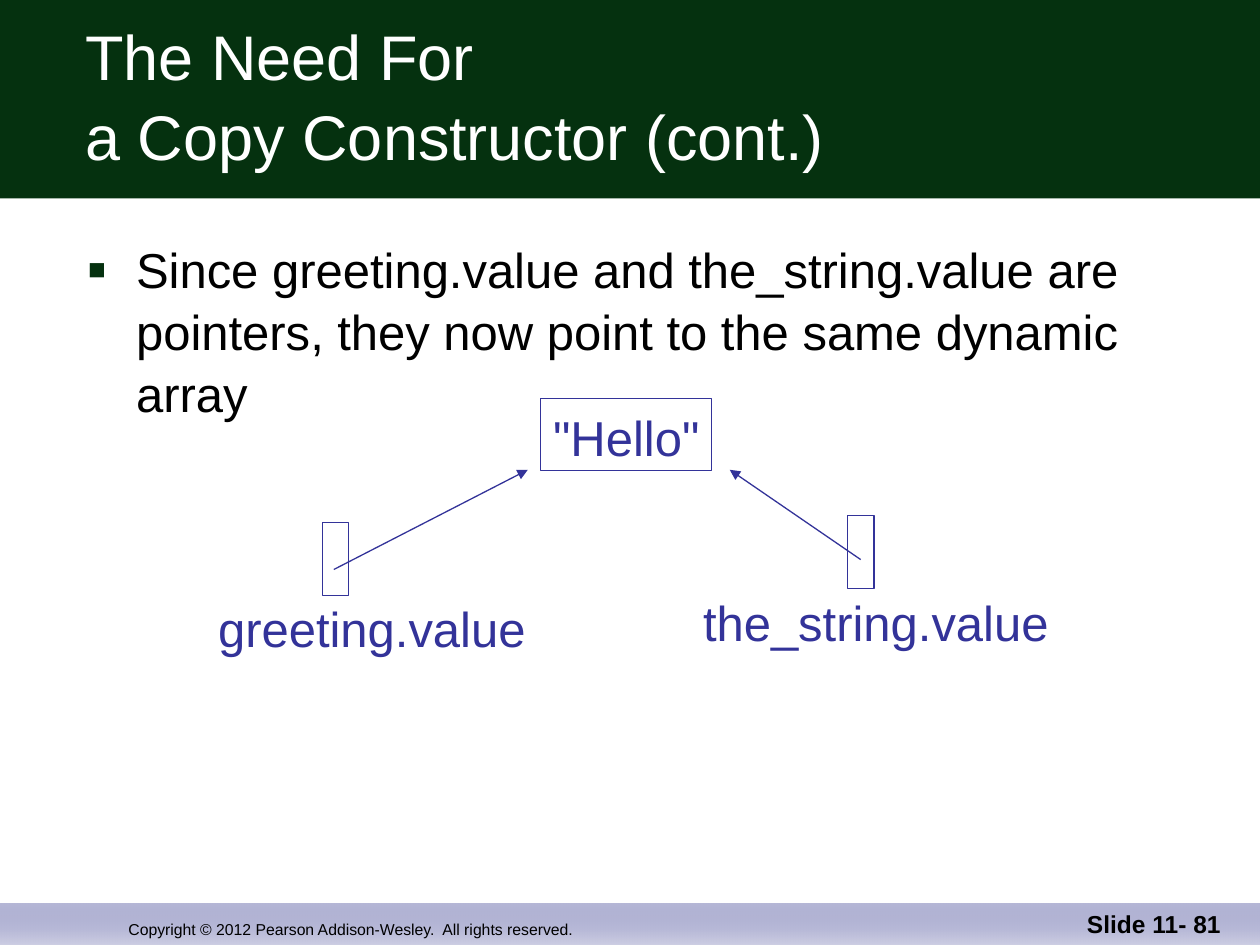
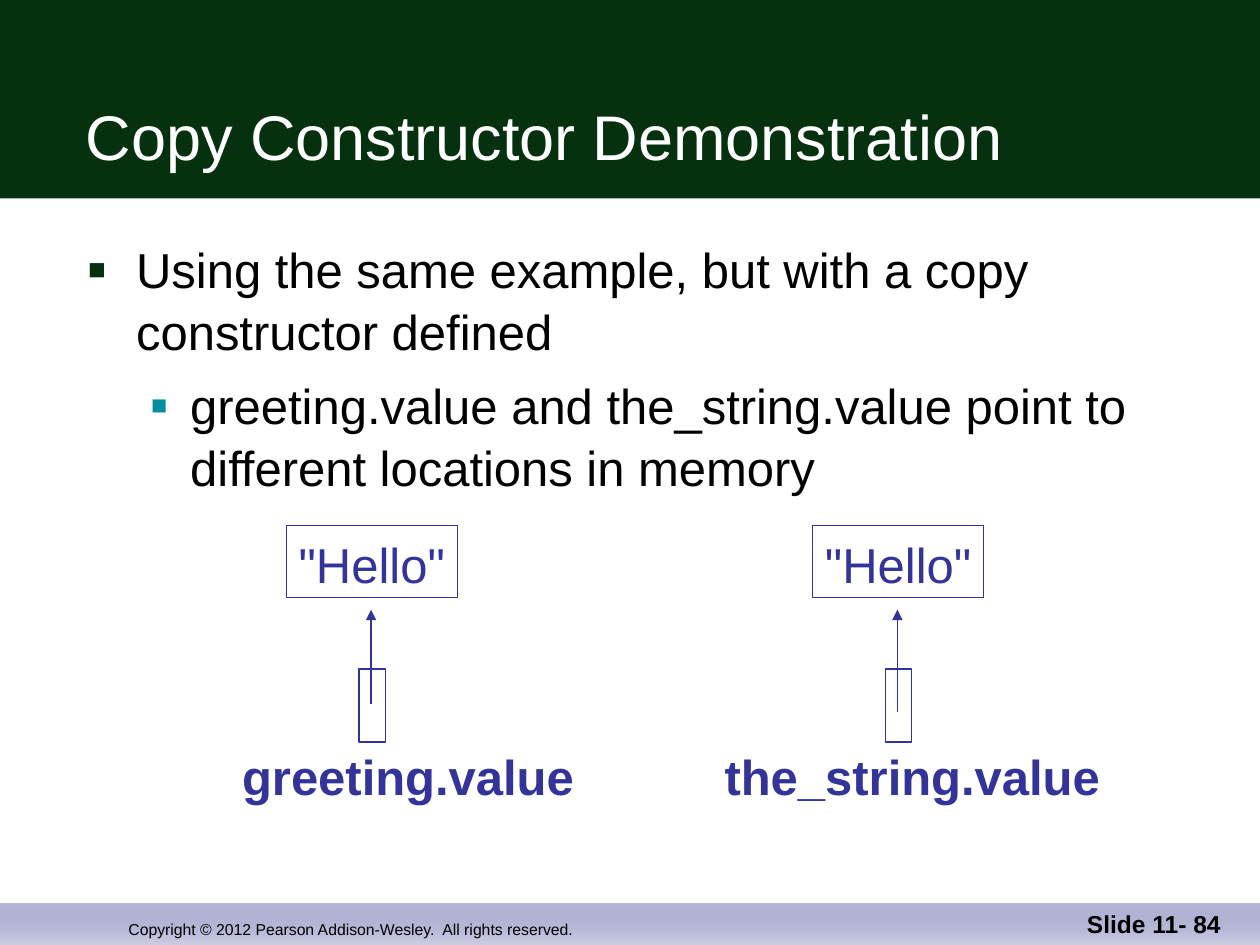
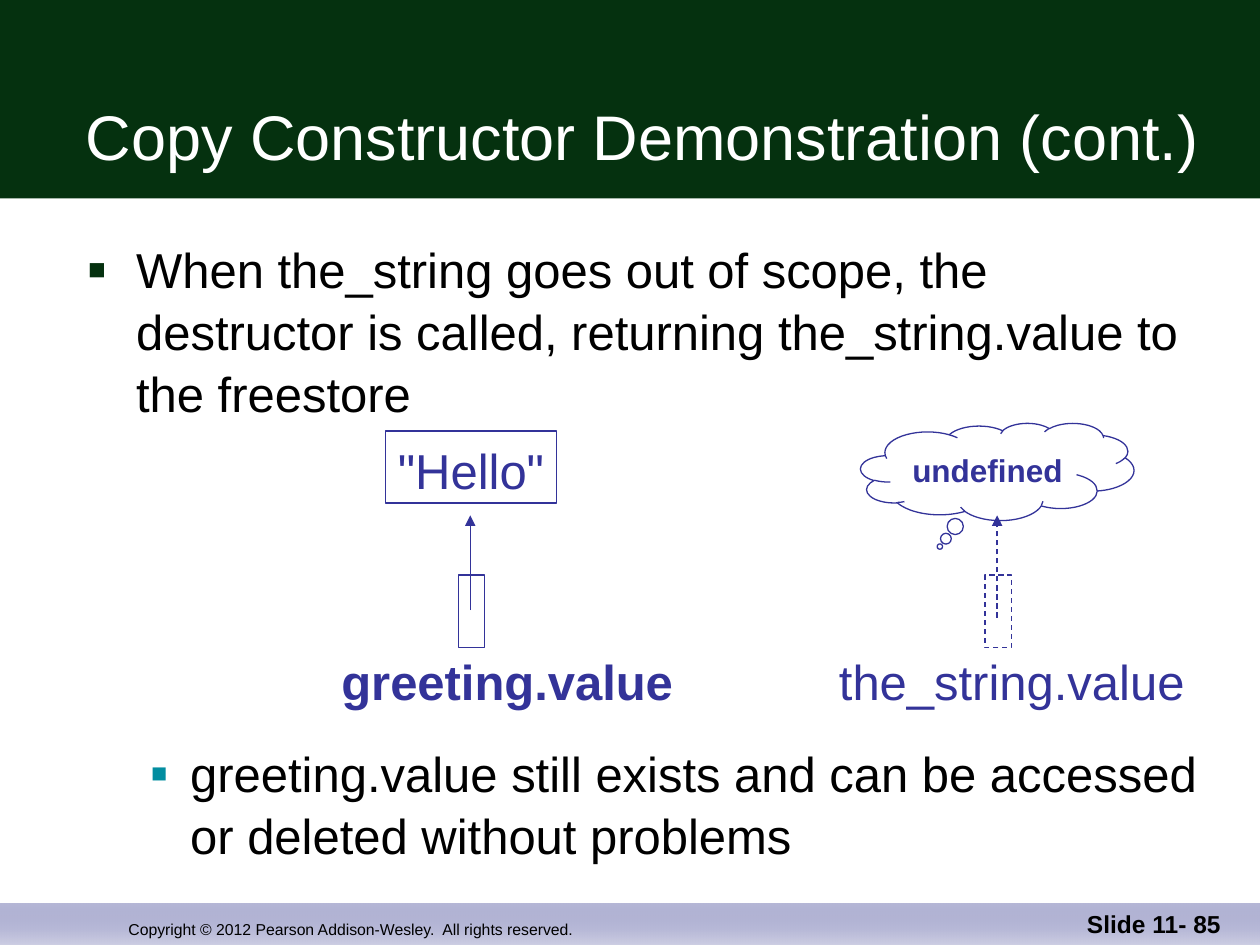
from lxml.etree import SubElement
from pptx import Presentation
from pptx.dml.color import RGBColor
from pptx.enum.dml import MSO_LINE
from pptx.enum.shapes import MSO_CONNECTOR, MSO_SHAPE
from pptx.enum.text import MSO_ANCHOR, MSO_AUTO_SIZE, PP_ALIGN
from pptx.oxml.ns import qn
from pptx.util import Cm, Pt

GREEN = RGBColor(0x05, 0x31, 0x0F)
TEAL = RGBColor(0x02, 0x8D, 0xA0)
INDIGO = RGBColor(0x33, 0x33, 0x99)
BAND_DARK = RGBColor(0x66, 0x69, 0xAA)
BAND_LIGHT = RGBColor(0xCC, 0xCD, 0xE3)
WHITE = RGBColor(0xFF, 0xFF, 0xFF)
BLACK = RGBColor(0, 0, 0)
FONT = "Arial"
WIDTH, HEIGHT = 25.4, 19.05
LINE_SPACING = 1.05
# Per list level: bullet colour, bullet size in %, left margin and hanging indent in cm
BULLETS = [(GREEN, 60, 0.97, 0.97), (TEAL, 55, 2.06, 0.79)]


def write(p, text, size, color, bold=False):
    """Add text to a paragraph, one run per line."""
    p.line_spacing = LINE_SPACING
    for i, line in enumerate(text.split("\n")):
        if i:
            p.add_line_break()
        r = p.add_run()
        r.text = line
        r.font.name = FONT
        r.font.size = Pt(size)
        r.font.bold = bold
        r.font.color.rgb = color


def place(sp, x, y, w, h):
    sp.left, sp.top, sp.width, sp.height = Cm(x), Cm(y), Cm(w), Cm(h)


def add_text(s, x, y, w, h, text, size, color, bold=False,
             align=PP_ALIGN.LEFT, anchor=MSO_ANCHOR.BOTTOM, wrap=True):
    sp = s.shapes.add_textbox(Cm(x), Cm(y), Cm(w), Cm(h))
    tf = sp.text_frame
    tf.word_wrap = wrap
    tf.vertical_anchor = anchor
    tf.paragraphs[0].alignment = align
    write(tf.paragraphs[0], text, size, color, bold)
    return sp


def add_band(s, y, h):
    sp = s.shapes.add_shape(MSO_SHAPE.RECTANGLE, 0, Cm(y), Cm(WIDTH), Cm(h))
    sp.shadow.inherit = False
    sp.line.fill.background()
    return sp


def build_frame(s, layout):
    """Give the layout the title band, footer band and copyright line."""
    footer = add_band(s, 18.21, 0.84)
    footer.fill.gradient()
    footer.fill.gradient_angle = 270
    for stop, color in zip(footer.fill.gradient_stops, (BAND_DARK, BAND_LIGHT)):
        stop.color.rgb = color
    first_color = footer.element.spPr.find(".//" + qn("a:srgbClr"))
    SubElement(first_color, qn("a:alpha"), val="47000")

    header = add_band(s, 0, 4)
    header.fill.solid()
    header.fill.fore_color.rgb = GREEN

    notice = add_text(s, 2.34, 17.78, 12.5, 1.27,
                      "Copyright © 2012 Pearson Addison-Wesley.  All rights reserved.",
                      9, BLACK)
    for i, sp in enumerate((footer, header, notice), start=20):
        sp.element.find(".//" + qn("p:cNvPr")).set("id", str(i))
        layout.shapes.element.append(sp.element)


def add_bullet(p, level):
    color, percent, margin, hang = BULLETS[level]
    p.level = level
    pPr = p._p.get_or_add_pPr()
    pPr.set("marL", str(Cm(margin)))
    pPr.set("indent", str(-Cm(hang)))
    SubElement(SubElement(pPr, qn("a:buClr")), qn("a:srgbClr"), val=str(color))
    SubElement(pPr, qn("a:buSzPct"), val=str(percent * 1000))
    SubElement(pPr, qn("a:buFont"), typeface=FONT)
    SubElement(pPr, qn("a:buChar"), char="■")


def add_slide(prs, number, title, items, item_gap=7):
    """Add a slide with its title, bulleted items (one per level) and number."""
    s = prs.slides.add_slide(prs.slide_layouts[1])
    head, body = s.placeholders
    place(head, 1.47, 0.84, 23.06, 2.77)
    tf = head.text_frame
    tf.auto_size = MSO_AUTO_SIZE.NONE
    tf.vertical_anchor = MSO_ANCHOR.BOTTOM
    tf.paragraphs[0].alignment = PP_ALIGN.LEFT
    write(tf.paragraphs[0], title, 36, WHITE)

    place(body, 1.52, 4.65, 23.04, 13)
    tf = body.text_frame
    tf.auto_size = MSO_AUTO_SIZE.NONE
    tf.margin_right = 0
    for level, text in enumerate(items):
        p = tf.add_paragraph() if level else tf.paragraphs[0]
        add_bullet(p, level)
        p.space_before = Pt(item_gap if level else 0)
        write(p, text, 28, BLACK)

    add_text(s, 19.58, 17.78, 5.28, 1.27, f"Slide 11- {number}", 14, BLACK,
             bold=True, align=PP_ALIGN.RIGHT)
    return s


def set_outline(sp, dashed=False):
    sp.line.color.rgb = INDIGO
    sp.line.width = Pt(0.75)
    if dashed:
        sp.line.dash_style = MSO_LINE.DASH


def add_outlined(s, kind, x, y, w, h, dashed=False):
    sp = s.shapes.add_shape(kind, Cm(x), Cm(y), Cm(w), Cm(h))
    sp.shadow.inherit = False
    sp.fill.background()
    set_outline(sp, dashed)
    return sp


def add_cell(s, x, y, dashed=False):
    """Add the small upright box that stands for a pointer variable."""
    add_outlined(s, MSO_SHAPE.RECTANGLE, x, y, 0.53, 1.47, dashed)


def add_label(s, x, y, w, text, bold=False):
    return add_text(s, x, y, w, 1.45, text, 28, INDIGO, bold,
                    PP_ALIGN.CENTER, MSO_ANCHOR.TOP, wrap=False)


def add_hello(s, x, y):
    set_outline(add_label(s, x, y, 3.45, '"Hello"'))


def add_cloud(s, x, y):
    sp = add_outlined(s, MSO_SHAPE.CLOUD_CALLOUT, x, y, 5.51, 1.96)
    sp.adjustments[0], sp.adjustments[1] = -0.21, 0.77
    tf = sp.text_frame
    tf.vertical_anchor = MSO_ANCHOR.MIDDLE
    tf.paragraphs[0].alignment = PP_ALIGN.CENTER
    write(tf.paragraphs[0], "undefined", 18, INDIGO, bold=True)


def add_arrow(s, x1, y1, x2, y2, dashed=False):
    c = s.shapes.add_connector(MSO_CONNECTOR.STRAIGHT, Cm(x1), Cm(y1), Cm(x2), Cm(y2))
    set_outline(c, dashed)
    spPr = c.element.spPr
    SubElement(spPr.find(qn("a:ln")), qn("a:tailEnd"), type="triangle")
    SubElement(spPr, qn("a:effectLst"))


def add_pointer(s, x, y, name, label_dx, label_w, tail_dy, bold=True, dashed=False):
    """Add a named cell with an arrow up to the value whose box is at x, y."""
    add_label(s, x + label_dx, y + 4.27, label_w, name, bold)
    add_cell(s, x + 1.47, y + 2.9, dashed)
    add_arrow(s, x + 1.71, y + tail_dy, x + 1.71, y + 1.7, dashed)


def add_greeting(s, x, y):
    add_hello(s, x, y)
    add_pointer(s, x, y, "greeting.value", -1.14, 7.19, 3.61)


def main():
    prs = Presentation()
    prs.slide_width, prs.slide_height = Cm(WIDTH), Cm(HEIGHT)

    s = add_slide(prs, 81, "The Need For\na Copy Constructor (cont.)", [
        "Since greeting.value and the_string.value are\n"
        "pointers, they now point to the same dynamic\narray"])
    build_frame(s, prs.slide_layouts[1])
    add_label(s, 4.14, 11.89, 6.71, "greeting.value")
    add_label(s, 13.92, 11.76, 7.47, "the_string.value")
    add_cell(s, 6.5, 10.54)
    add_cell(s, 17.09, 10.39)
    add_hello(s, 10.9, 8.03)
    add_arrow(s, 6.73, 11.48, 10.64, 9.47)
    add_arrow(s, 17.35, 11.28, 14.71, 9.47)

    s = add_slide(prs, 84, "Copy Constructor Demonstration", [
        "Using the same example, but with a copy\nconstructor defined",
        "greeting.value and the_string.value point to\ndifferent locations in memory"])
    add_greeting(s, 5.77, 10.59)
    add_hello(s, 16.38, 10.59)
    add_pointer(s, 16.38, 10.59, "the_string.value", -2.03, 8.08, 3.76)

    s = add_slide(prs, 85, "Copy Constructor Demonstration (cont.)", [
        "When the_string goes out of scope, the destructor is called, "
        "returning the_string.value to the freestore",
        "greeting.value still exists and can be accessed or deleted without problems"],
        item_gap=182)
    add_greeting(s, 7.77, 8.69)
    add_pointer(s, 18.39, 8.69, "the_string.value", -1.73, 7.47, 3.76,
                bold=False, dashed=True)
    add_cloud(s, 17.35, 8.53)

    prs.save("out.pptx")


if __name__ == "__main__":
    main()
